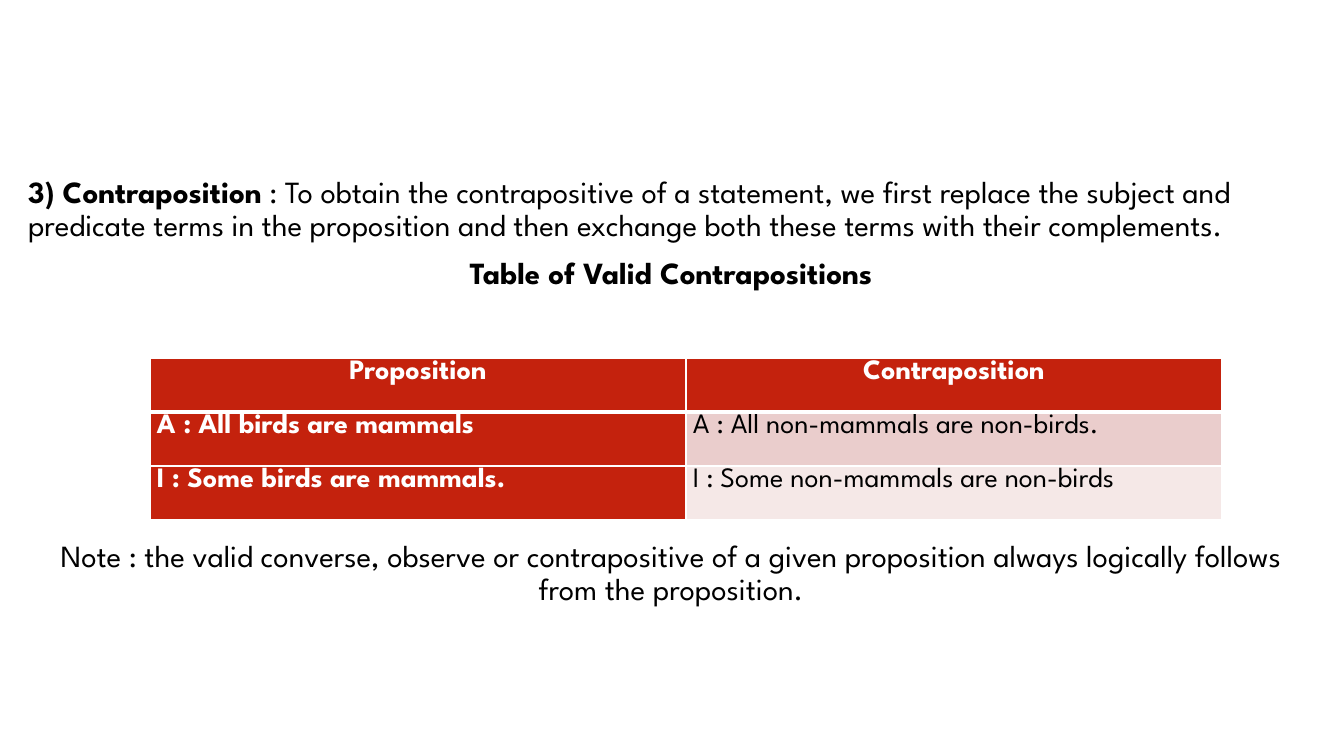
import dataclasses

import pptx
import pptx.dml.color
import pptx.enum.text
import pptx.oxml.ns
import pptx.slide
import pptx.util
from lxml import etree

EMU_PER_PX = 914400 / 100.8
ALIGN = pptx.enum.text.PP_ALIGN


def px(length):
    return pptx.util.Emu(round(length * EMU_PER_PX))


@dataclasses.dataclass(frozen=True)
class Theme:
    font: str = "League Spartan"
    body_size: int = 22
    table_size: int = 20
    ink: str = "000000"
    paper: str = "FFFFFF"
    accent: str = "C4220D"
    bands: tuple = ("EACDCC", "F5E8E7")


@dataclasses.dataclass
class SlideBuilder:
    theme: Theme
    page: pptx.slide.Slide

    def style(self, font, size, color, bold=None):
        font.name = self.theme.font
        font.size = pptx.util.Pt(size)
        font.bold = bold
        font.color.rgb = pptx.dml.color.RGBColor.from_string(color)

    def body(self, left, top, width, height, paragraphs):
        box = self.page.placeholders[1]
        box.left, box.top, box.width, box.height = map(px, (left, top, width, height))
        frame = box.text_frame
        frame.word_wrap = True
        frame.auto_size = pptx.enum.text.MSO_AUTO_SIZE.NONE
        frame.vertical_anchor = pptx.enum.text.MSO_ANCHOR.TOP
        for index, (spans, align, space_before) in enumerate(paragraphs):
            para = frame.add_paragraph() if index else frame.paragraphs[0]
            properties = para._p.get_or_add_pPr()
            properties.set("marL", "0")
            properties.set("indent", "0")
            etree.SubElement(properties, pptx.oxml.ns.qn("a:buNone"))
            para.alignment = align
            para.line_spacing = 0.9
            para.space_before = px(space_before)
            self.style(para.font, self.theme.body_size, self.theme.ink)
            for text, bold in spans:
                span = para.add_run()
                span.text = text
                span.font.bold = bold

    def border(self, cell, side, points):
        properties = cell._tc.get_or_add_tcPr()
        line = etree.SubElement(properties, pptx.oxml.ns.qn(f"a:ln{side}"))
        line.set("w", str(pptx.util.Pt(points)))
        fill = etree.SubElement(line, pptx.oxml.ns.qn("a:solidFill"))
        etree.SubElement(fill, pptx.oxml.ns.qn("a:srgbClr")).set("val", self.theme.paper)

    def table(self, left, top, column_width, row_height, rows):
        count = len(rows[0])
        frame = self.page.shapes.add_table(
            len(rows), count, px(left), px(top),
            px(column_width * count), px(row_height * len(rows)))
        grid = frame.table
        for column in grid.columns:
            column.width = px(column_width)
        for row_index, texts in enumerate(rows):
            grid.rows[row_index].height = px(row_height)
            for column_index, text in enumerate(texts):
                self.cell(grid.cell(row_index, column_index), text, row_index, column_index)

    def cell(self, cell, text, row, column):
        header = row == 0
        strong = header or column == 0
        for side in "LRTB":
            heavy = (row, side) in ((0, "B"), (1, "T"))
            self.border(cell, side, 3 if heavy else 1)
        cell.margin_left = cell.margin_right = px(7)
        cell.margin_top = cell.margin_bottom = 0
        cell.fill.solid()
        color = self.theme.accent if strong else self.theme.bands[row - 1]
        cell.fill.fore_color.rgb = pptx.dml.color.RGBColor.from_string(color)
        para = cell.text_frame.paragraphs[0]
        para.text = text
        para.alignment = ALIGN.CENTER if header else ALIGN.LEFT
        para.line_spacing = 1.07
        self.style(para.font, self.theme.table_size,
                   self.theme.paper if strong else self.theme.ink, strong)


deck = pptx.Presentation()
deck.slide_width, deck.slide_height = px(1344), px(756)
page = deck.slides.add_slide(deck.slide_layouts[1])
title = page.shapes.title
title.element.getparent().remove(title.element)

builder = SlideBuilder(Theme(), page)
builder.body(18, 172, 1306, 574, [
    ([("3) Contraposition", True),
      (" : To obtain the contrapositive of a statement, we first replace the subject and "
       "predicate terms in the proposition and then exchange both these terms with their "
       "complements.", False)], ALIGN.LEFT, 0),
    ([("Table of Valid Contrapositions", True)], ALIGN.CENTER, 14),
    ([("Note : the valid converse, observe or contrapositive of a given proposition always "
       "logically follows from the proposition.", False)], ALIGN.CENTER, 250),
])
builder.table(150, 358, 536, 54, [
    ("Proposition", "Contraposition"),
    ("A : All birds are mammals", "A : All non-mammals are non-birds."),
    ("I : Some birds are mammals.", "I : Some non-mammals are non-birds"),
])
deck.save("out.pptx")
